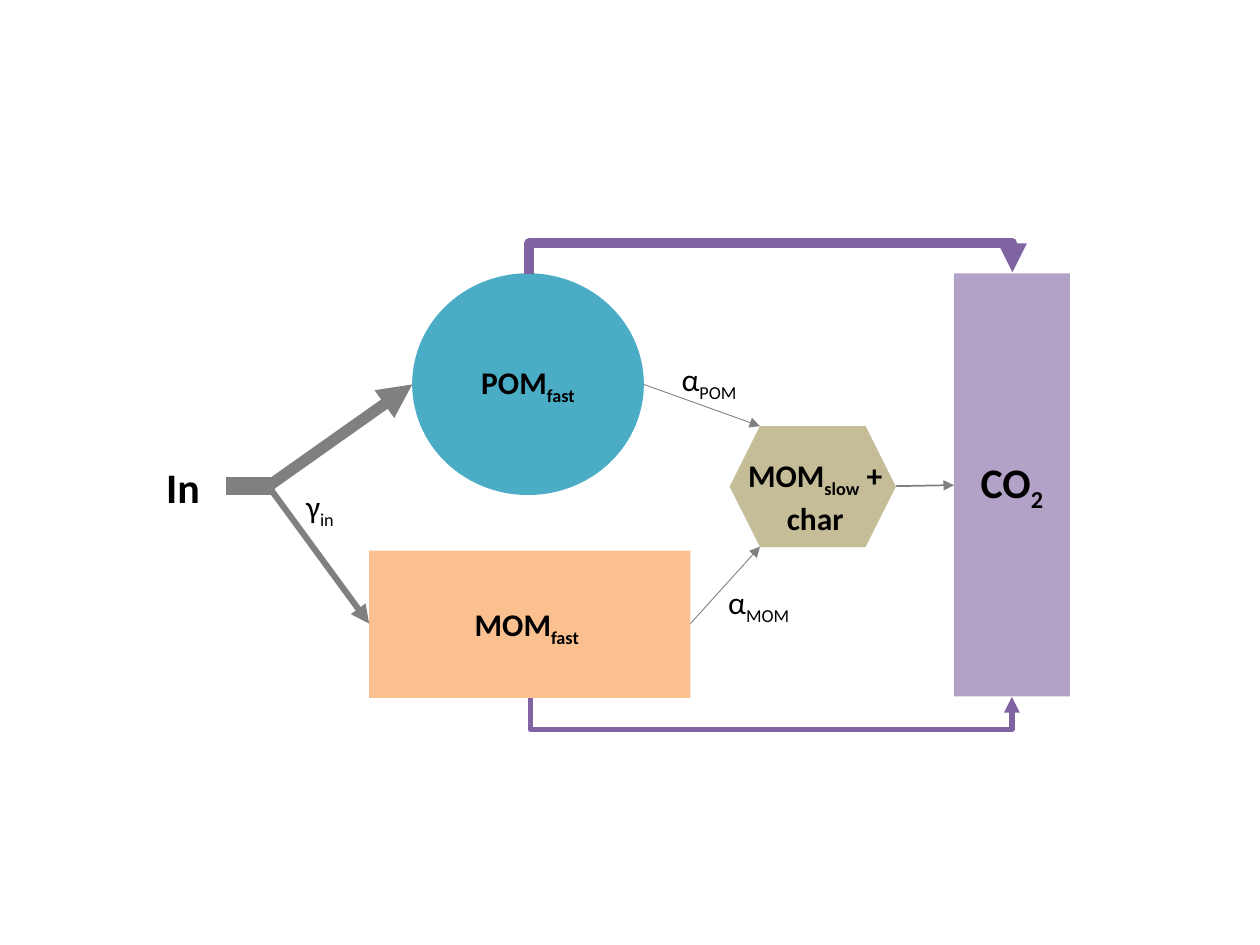
from lxml.etree import SubElement
from pptx import Presentation
from pptx.dml.color import RGBColor
from pptx.enum.shapes import MSO_CONNECTOR, MSO_SHAPE
from pptx.enum.text import MSO_ANCHOR, MSO_AUTO_SIZE, PP_ALIGN
from pptx.oxml.ns import qn
from pptx.util import Cm, Pt

BLACK = RGBColor(0x00, 0x00, 0x00)
GRAY = RGBColor(0x80, 0x80, 0x80)
PURPLE = RGBColor(0x80, 0x64, 0xA2)
LILAC = RGBColor(0xB3, 0xA2, 0xC7)
TEAL = RGBColor(0x4B, 0xAC, 0xC6)
ORANGE = RGBColor(0xFA, 0xC0, 0x90)
KHAKI = RGBColor(0xC4, 0xBD, 0x97)


class FlowDiagram:
    font_name = "Calibri"
    subscript = "-25000"

    def __init__(self, slide):
        self.slide = slide

    def add_name(self, frame, parts, size=18, bold=True, align=PP_ALIGN.CENTER):
        paragraph = frame.paragraphs[0]
        paragraph.alignment = align
        font = paragraph.font
        font.name, font.size, font.bold = self.font_name, Pt(size), bold
        font.color.rgb = BLACK
        for index, part in enumerate(parts):
            run = paragraph.add_run()
            run.text = part
            if index == 1:
                run._r.get_or_add_rPr().set("baseline", self.subscript)

    def pool(self, preset, left, top, width, height, color, parts=(), size=18):
        pool = self.slide.shapes.add_shape(
            preset, Cm(left), Cm(top), Cm(width), Cm(height))
        pool.shadow.inherit = False
        pool.fill.solid()
        pool.fill.fore_color.rgb = color
        pool.line.fill.background()
        if parts:
            pool.text_frame.vertical_anchor = MSO_ANCHOR.MIDDLE
            self.add_name(pool.text_frame, parts, size)

    def label(self, left, top, width, height, parts, size=18, bold=True,
              align=PP_ALIGN.CENTER, wrap=True, anchor=MSO_ANCHOR.TOP):
        label = self.slide.shapes.add_textbox(
            Cm(left), Cm(top), Cm(width), Cm(height))
        frame = label.text_frame
        frame.word_wrap = wrap
        frame.vertical_anchor = anchor
        frame.auto_size = (MSO_AUTO_SIZE.NONE if anchor == MSO_ANCHOR.MIDDLE
                           else MSO_AUTO_SIZE.SHAPE_TO_FIT_TEXT)
        self.add_name(frame, parts, size, bold, align)

    def rate(self, left, top, width, parts):
        self.label(left, top, width, 1.02, parts, bold=False,
                   align=PP_ALIGN.LEFT, wrap=False)

    def flow(self, start, end, weight, color=GRAY, arrow=True,
             kind=MSO_CONNECTOR.STRAIGHT):
        flow = self.slide.shapes.add_connector(
            kind, *(Cm(value) for value in (*start, *end)))
        flow.line.color.rgb = color
        flow.line.width = Pt(weight)
        properties = flow._element.spPr
        if arrow:
            SubElement(properties.find(qn("a:ln")), qn("a:tailEnd"), type="triangle")
        SubElement(properties, qn("a:effectLst"))
        return flow

    def emission(self, start, end, turn, weight):
        depth, span = start[1] - end[1], end[0] - start[0]
        left = (start[0] + end[0] - depth) / 2
        top = (start[1] + end[1] - span) / 2
        emission = self.flow((left, top), (left + depth, top + span), weight,
                             PURPLE, kind=MSO_CONNECTOR.ELBOW)
        properties = emission._element.spPr
        frame = properties.find(qn("a:xfrm"))
        for name, value in (("rot", "5400000"), ("flipH", "1"), ("flipV", "1")):
            frame.set(name, value)
        ratio = round((start[1] - turn) / depth * 100000)
        guides = properties.find(qn("a:prstGeom")).get_or_add_avLst()
        SubElement(guides, qn("a:gd"), name="adj1", fmla=f"val {ratio}")


presentation = Presentation()
presentation.slide_width, presentation.slide_height = Cm(25.4), Cm(19.05)
diagram = FlowDiagram(presentation.slides.add_slide(presentation.slide_layouts[6]))

fork = (5.41, 9.8)
pom_left, pom_right = (8.31, 7.75), (12.98, 7.75)
mom_left, mom_right = (7.44, 12.57), (13.92, 12.57)

diagram.pool(MSO_SHAPE.OVAL, 8.31, 5.51, 4.67, 4.47, TEAL, ("POM", "fast"))
diagram.flow(fork, pom_left, 6.5)
diagram.flow((5.54, 9.8), (4.55, 9.8), 10, arrow=False)
diagram.flow(fork, mom_left, 3.5)
diagram.label(2.84, 8.97, 1.7, 1.7, ("In",), size=24, anchor=MSO_ANCHOR.MIDDLE)
diagram.flow(pom_right, (15.32, 8.59), 0.5)
diagram.emission((10.69, 14.07), (20.4, 14.05), 14.71, 3)
diagram.emission((10.67, 5.53), (20.41, 5.49), 4.9, 5.5)
diagram.pool(MSO_SHAPE.RECTANGLE, 19.23, 5.51, 2.34, 8.53, LILAC, ("CO", "2"), 24)
diagram.rate(13.49, 7.14, 1.75, ("α", "POM"))
diagram.rate(5.92, 9.7, 1.12, ("γ", "in"))
diagram.pool(MSO_SHAPE.RECTANGLE, 7.44, 11.1, 6.48, 2.97, ORANGE)
diagram.rate(14.43, 11.63, 1.88, ("α", "MOM"))
diagram.flow(mom_right, (15.32, 11.02), 0.5)
diagram.label(9.32, 12.07, 2.74, 1.02, ("MOM", "fast"),
              align=PP_ALIGN.LEFT, wrap=False)
diagram.pool(MSO_SHAPE.HEXAGON, 14.71, 8.59, 3.35, 2.44, KHAKI)
diagram.flow((18.06, 9.8), (19.23, 9.78), 1)
diagram.label(14.76, 9.07, 3.35, 1.8, ("MOM", "slow", " + char"))

presentation.save("out.pptx")
